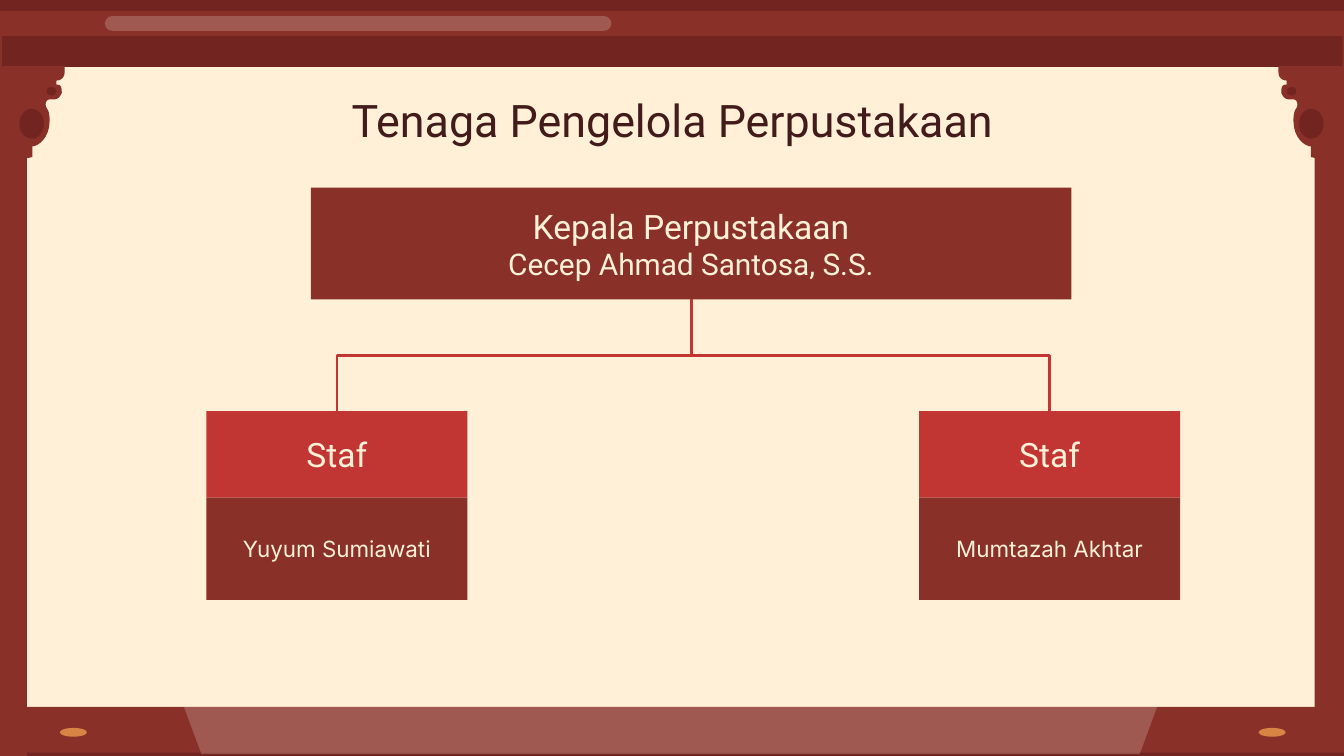
"""Build the library staff organisation slide."""
from lxml import etree
from pptx import Presentation
from pptx.dml.color import RGBColor
from pptx.enum import shapes, text
from pptx.oxml.ns import qn
from pptx.util import Pt

BROWN, DARK, RED, CREAM, ORANGE = "893128", "722420", "C13633", "FFF0D7", "D88445"
PALE = "FFFCF7"
RECT, OVAL = shapes.MSO_SHAPE.RECTANGLE, shapes.MSO_SHAPE.OVAL
ROUND = shapes.MSO_SHAPE.ROUNDED_RECTANGLE


def paint(sp, color, alpha=None):
    sp.shadow.inherit = False
    sp.line.fill.background()
    sp.fill.solid()
    sp.fill.fore_color.rgb = RGBColor.from_string(color)
    if alpha:
        clr = sp._element.spPr.find(qn("a:solidFill"))[0]
        etree.SubElement(clr, qn("a:alpha")).set("val", str(alpha * 1000))
    return sp


def write(sp, words, font, sizes, color):
    tf = sp.text_frame
    tf.text = words
    tf.word_wrap = True
    tf.vertical_anchor = text.MSO_ANCHOR.MIDDLE
    tf.margin_left = tf.margin_right = tf.margin_top = tf.margin_bottom = Pt(7.2)
    p = tf.paragraphs[0]
    p.alignment = text.PP_ALIGN.CENTER
    for r, size in zip(p.runs, sizes):
        r.font.name, r.font.size = font, Pt(size)
        r.font.color.rgb = RGBColor.from_string(color)


prs = Presentation()
prs.slide_width, prs.slide_height = Pt(720), Pt(405)
s = prs.slides.add_slide(prs.slide_layouts[6])
s.background.fill.solid()
s.background.fill.fore_color.rgb = RGBColor.from_string(CREAM)

frame = [
    (RECT, 0, 378.7, 720, 25.3, BROWN),
    (RECT, 0, 2.9, 720, 20.3, BROWN),
    (RECT, 0, 0, 720, 5.8, DARK),
    (RECT, 0, 403.2, 720, 1.8, DARK),
    (RECT, 704.2, 19.4, 15.8, 363.6, BROWN),
    (RECT, 0, 19.4, 14.4, 385.6, BROWN),
    (RECT, 1.2, 19.4, 718, 16.5, DARK),
    (OVAL, 32, 390, 14.6, 4.7, ORANGE),
    (OVAL, 674.2, 390, 14.6, 4.7, ORANGE),
]
for kind, x, y, w, h, color in frame:
    paint(s.shapes.add_shape(kind, Pt(x), Pt(y), Pt(w), Pt(h)), color)

sp = paint(s.shapes.add_shape(ROUND, Pt(56.2), Pt(8.6), Pt(271.4), Pt(7.9)), PALE, 20)
sp.adjustments[0] = 0.5

fb = s.shapes.build_freeform(Pt(98.6), Pt(378.7), 1)
fb.add_line_segments([(Pt(x), Pt(y)) for x, y in [(108, 404), (610.6, 404), (619.9, 378.7)]])
paint(fb.convert_to_shape(), PALE, 20)

# Each step is an end point, or two control points and an end point
ornament = [
    (34.6, 35.3), (0, 35.3), (0, 103), (14.4, 103), (14.4, 98.6),
    (10.1, 98.6, 8.6, 84.2, 17.3, 84.2), (17.3, 78.5),
    (20.2, 78.5, 26.6, 74.2, 26.6, 64.8), (26.6, 61.2, 25.9, 59, 25.2, 58.3),
    (23.8, 56.2, 24.5, 53.3, 26.6, 53.3), (28.8, 53.3),
    (31, 53.3, 32.4, 51.8, 33.1, 49.7), (33.1, 48.2, 33.1, 45.4, 31, 45.4),
    (30.2, 45.4), (30.2, 43.2), (32.4, 43.2, 34.6, 41.8, 34.6, 38.9),
]
outline = []
for step in ornament:
    if len(step) == 2:
        outline.append(step)
        continue
    curve = [outline[-1], step[:2], step[2:4], step[4:]]
    for t in (i / 8 for i in range(1, 9)):
        weights = ((1 - t) ** 3, 3 * t * (1 - t) ** 2, 3 * t * t * (1 - t), t ** 3)
        outline.append(tuple(sum(k * pt[axis] for k, pt in zip(weights, curve)) for axis in (0, 1)))

for mirrored in (False, True):
    points = [(Pt(719.5 - x if mirrored else x), Pt(y)) for x, y in outline]
    fb = s.shapes.build_freeform(*points[0], 1)
    fb.add_line_segments(points[1:])
    paint(fb.convert_to_shape(), BROWN)
    for x, y, w, h in [(10.4, 58.3, 13.2, 16), (25, 46.6, 5.1, 4.6)]:
        left = 719.5 - x - w if mirrored else x
        paint(s.shapes.add_shape(OVAL, Pt(left), Pt(y), Pt(w), Pt(h)), DARK)

title = s.shapes.add_textbox(Pt(56.7), Pt(47), Pt(607), Pt(34))
write(title, "Tenaga Pengelola Perpustakaan", "Roboto", [24], "421B1A")

head = paint(s.shapes.add_shape(RECT, Pt(166.5), Pt(100.6), Pt(407.5), Pt(59.8)), BROWN)
write(head, "Kepala Perpustakaan\vCecep Ahmad Santosa, S.S.", "Roboto", [18, 16], CREAM)

head_x, head_bottom, staff_top, staff_w = 370.25, 160.4, 220.2, 139.8
drop = staff_top - head_bottom
for left, name in [(110.6, "Yuyum Sumiawati"), (492.4, "Mumtazah Akhtar")]:
    rows = [("Staf", staff_top, 46.4, RED, "Roboto", 18),
            (name, staff_top + 46.4, 54.8, BROWN, "Inter", 12)]
    for words, y, h, color, font, size in rows:
        sp = paint(s.shapes.add_shape(RECT, Pt(left), Pt(y), Pt(staff_w), Pt(h)), color)
        write(sp, words, font, [size], CREAM)

    staff_x = left + staff_w / 2
    span = abs(staff_x - head_x)
    x1 = (staff_x + head_x - drop) / 2
    y1 = (head_bottom + staff_top - span) / 2
    x2, turn = x1 + drop, 90
    if staff_x > head_x:
        x1, x2, turn = x2, x1, 270
    cxn = s.shapes.add_connector(shapes.MSO_CONNECTOR.ELBOW, Pt(x1), Pt(y1), Pt(x2), Pt(y1 + span))
    cxn.line.color.rgb = RGBColor.from_string(RED)
    cxn.line.width = Pt(1.5)
    spPr = cxn._element.spPr
    spPr.find(qn("a:xfrm")).set("rot", str(turn * 60000))
    etree.SubElement(spPr, qn("a:effectLst"))

prs.save("out.pptx")
